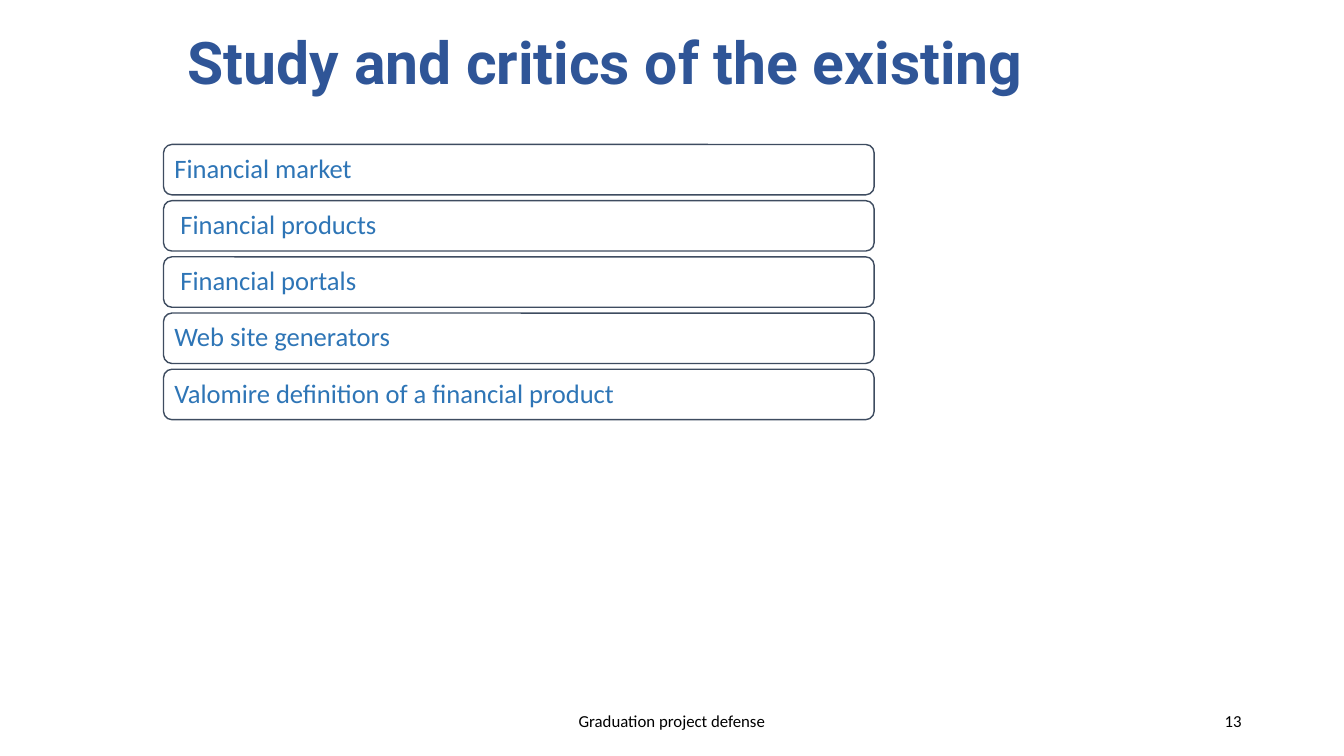
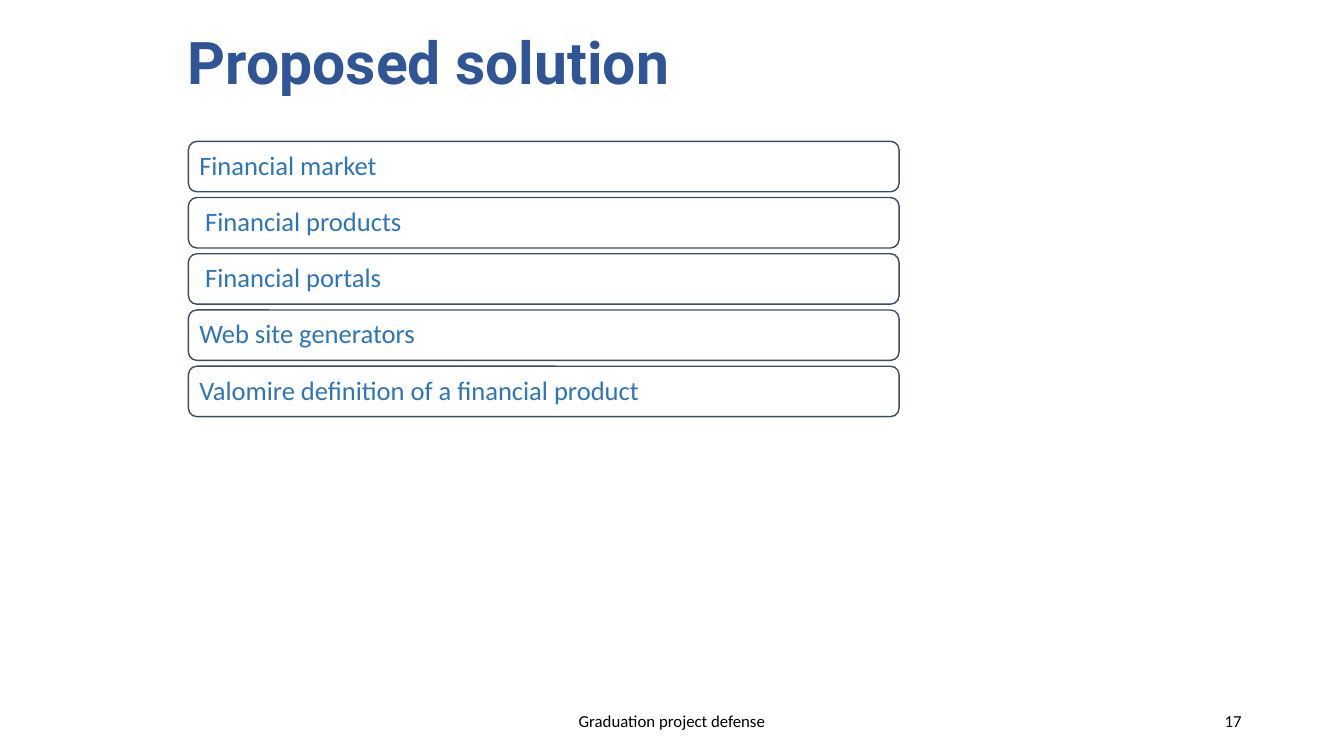
from pptx import Presentation
from pptx.dml.color import RGBColor
from pptx.enum.shapes import MSO_SHAPE
from pptx.enum.text import MSO_ANCHOR, MSO_AUTO_SIZE, PP_ALIGN
from pptx.util import Pt

TITLE_COLOR = "2F5597"
ITEM_COLOR = "2E75B6"
BORDER_COLOR = "3E4C60"
FOOTER_COLOR = "000000"
FILL_COLOR = "FFFFFF"

ITEM_HEIGHT = 36
ITEM_PITCH = 40.15

TOPICS = [
    ("Financial market", 0),
    ("Financial products", 4.3),
    ("Financial portals", 4.3),
    ("Web site generators", 0),
    ("Valomire definition of a financial product", 0),
]

SLIDES = [
    ("Study and critics of the existing", "13", (116.8, 103.2, 507.6)),
    ("Proposed solution", "17", (134.6, 101, 507.6)),
]


def color(value):
    return RGBColor.from_string(value)


def style(p, font, size, fill, align=PP_ALIGN.LEFT, bold=False):
    p.alignment = align
    p.font.name = font
    p.font.size = Pt(size)
    p.font.bold = bold
    p.font.color.rgb = color(fill)


def place(sp, left, top, width, height):
    sp.left, sp.top, sp.width, sp.height = Pt(left), Pt(top), Pt(width), Pt(height)


def add_title(s, text, box):
    sp = s.shapes.title
    place(sp, *box)
    tf = sp.text_frame
    tf.text = text
    tf.word_wrap = True
    tf.auto_size = MSO_AUTO_SIZE.NONE
    tf.vertical_anchor = MSO_ANCHOR.TOP
    style(tf.paragraphs[0], "Roboto", 42, TITLE_COLOR, bold=True)


def add_topic(s, text, indent, box):
    sp = s.shapes.add_shape(MSO_SHAPE.ROUNDED_RECTANGLE, *map(Pt, box))
    sp.shadow.inherit = False
    sp.fill.solid()
    sp.fill.fore_color.rgb = color(FILL_COLOR)
    sp.line.color.rgb = color(BORDER_COLOR)
    sp.line.width = Pt(1)
    tf = sp.text_frame
    tf.word_wrap = True
    tf.vertical_anchor = MSO_ANCHOR.MIDDLE
    tf.margin_left = Pt(6 + indent)
    tf.text = text
    p = tf.paragraphs[0]
    p.line_spacing = 0.9
    style(p, "Calibri", 19, ITEM_COLOR)


def add_topics(s, topics, box):
    left, top, width = box
    for i, (text, indent) in enumerate(topics):
        add_topic(s, text, indent, (left, top + i * ITEM_PITCH, width, ITEM_HEIGHT))


def add_footer_text(s, text, align, box):
    tf = s.shapes.add_textbox(*map(Pt, box)).text_frame
    tf.word_wrap = True
    tf.vertical_anchor = MSO_ANCHOR.MIDDLE
    tf.text = text
    style(tf.paragraphs[0], "Calibri", 12, FOOTER_COLOR, align)


def add_footer(s, number, top, height):
    add_footer_text(s, "Graduation project defense", PP_ALIGN.CENTER, (318, top, 324, height))
    add_footer_text(s, number, PP_ALIGN.RIGHT, (678, top, 216, height))


def add_topic_slide(prs, title, number, topics_box):
    s = prs.slides.add_slide(prs.slide_layouts[5])
    add_title(s, title, (127, 15, 800, 58))
    add_topics(s, TOPICS, topics_box)
    add_footer(s, number, 500.5, 28.8)


def main():
    prs = Presentation()
    prs.slide_width, prs.slide_height = Pt(960), Pt(540)
    for title, number, topics_box in SLIDES:
        add_topic_slide(prs, title, number, topics_box)
    prs.save("out.pptx")


if __name__ == "__main__":
    main()
